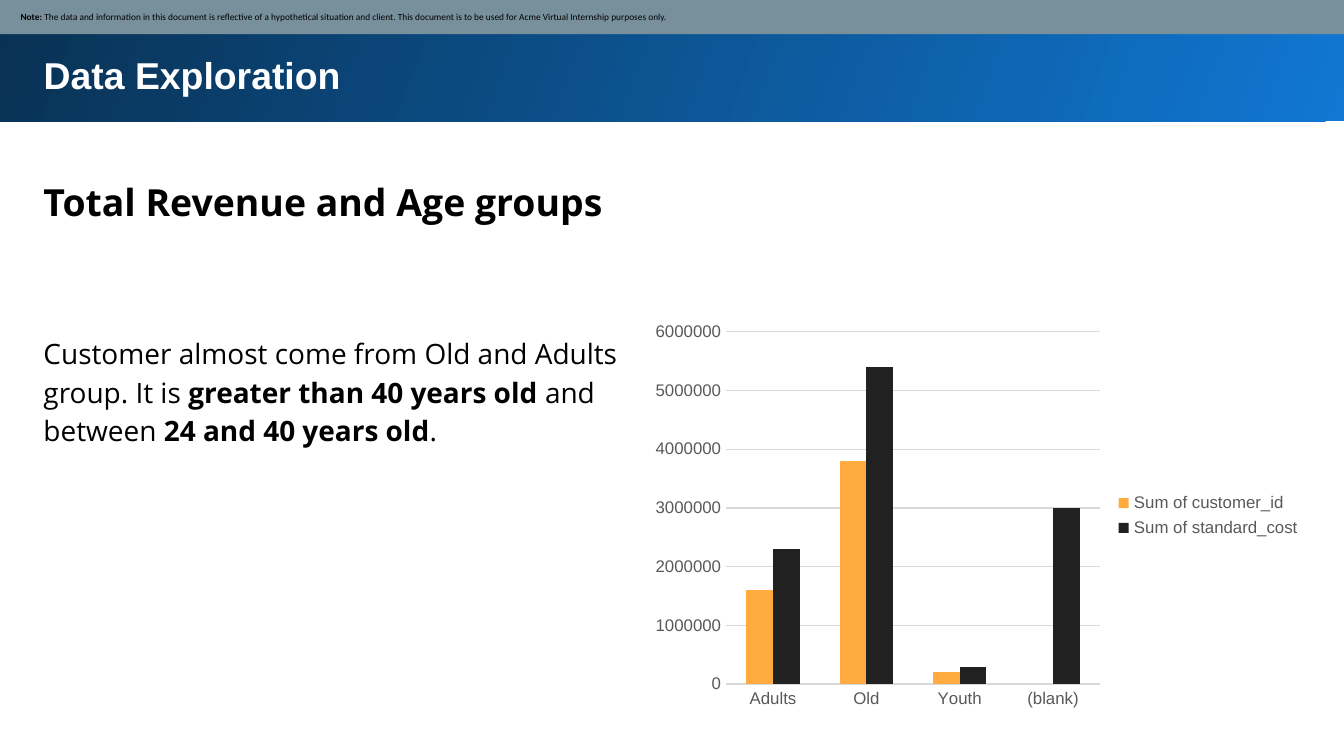
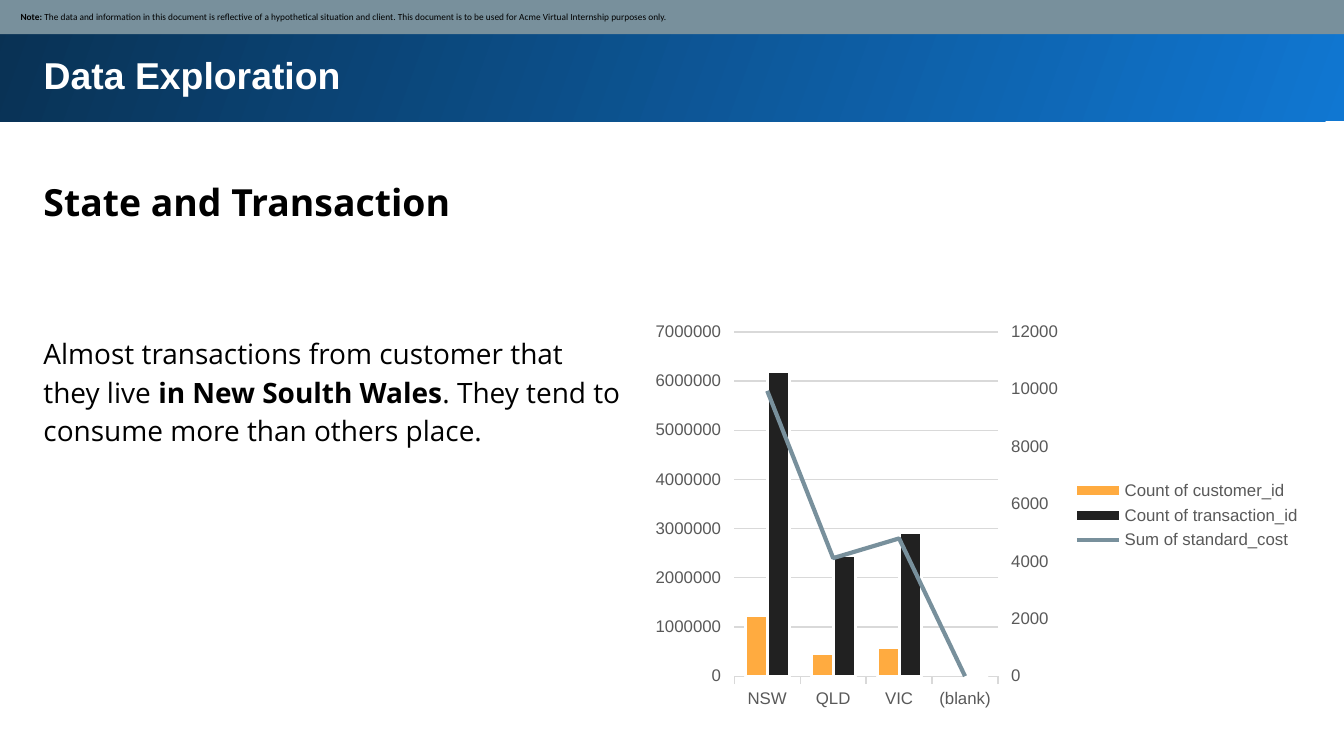
from copy import deepcopy

from pptx import Presentation
from pptx.chart.axis import CategoryAxis, ValueAxis
from pptx.chart.data import CategoryChartData
from pptx.dml.color import RGBColor
from pptx.enum.chart import (XL_CHART_TYPE, XL_LEGEND_POSITION, XL_MARKER_STYLE,
                             XL_TICK_LABEL_POSITION, XL_TICK_MARK)
from pptx.enum.shapes import MSO_SHAPE
from pptx.enum.text import MSO_ANCHOR, MSO_AUTO_SIZE, PP_ALIGN
from pptx.oxml import parse_xml
from pptx.oxml.ns import nsdecls, qn
from pptx.util import Pt

HEX = {"black": "000000", "white": "FFFFFF", "slate": "78909C", "blue": "1077D2",
       "navy": "093153", "orange": "FFAB40", "charcoal": "212121",
       "label": "595959", "grid": "D9D9D9"}
RGB = {name: RGBColor.from_string(value) for name, value in HEX.items()}

NOTE = [("Note: ", True),
        ("The data and information in this document is reflective of a hypothetical "
         "situation and client. This document is to be used for Acme Virtual "
         "Internship purposes only.", False)]

SLIDES = [
    {"heading": "Total Revenue and Age groups",
     "body": [("Customer almost come from Old and Adults group. It is ", False),
              ("greater than 40 years old ", True),
              ("and between ", False),
              ("24 and 40 years old", True),
              (".", False)],
     "categories": ["Adults", "Old", "Youth", "(blank)"],
     "series": [("Sum of customer_id", [1600000, 3800000, 200000, None]),
                ("Sum of standard_cost", [2300000, 5400000, 300000, 3000000])],
     "gap": 150, "maximum": 6000000, "tick": XL_TICK_MARK.NONE},
    {"heading": "State and Transaction",
     "body": [("Almost transactions from customer that they live ", False),
              ("in New Soulth Wales", True),
              (". They tend to consume more than others place.", False)],
     "categories": ["NSW", "QLD", "VIC", "(blank)"],
     "series": [("Count of customer_id", [2100, 800, 1000, None]),
                ("Count of transaction_id", [10600, 4200, 5000, 0]),
                ("Sum of standard_cost", [5800000, 2400000, 2800000, 0])],
     "gap": 100, "maximum": 7000000, "tick": XL_TICK_MARK.OUTSIDE},
]


def write(sp, runs, size, font="Open Sans", color="black", spacing=None,
          inset=7.2, left_inset=None, anchor=MSO_ANCHOR.TOP,
          fit=MSO_AUTO_SIZE.SHAPE_TO_FIT_TEXT):
    """Fill a shape with one left-aligned paragraph of (text, bold) runs."""
    tf = sp.text_frame
    tf.word_wrap = True
    tf.auto_size = fit
    tf.vertical_anchor = anchor
    tf.margin_top = tf.margin_right = tf.margin_bottom = Pt(inset)
    tf.margin_left = Pt(inset if left_inset is None else left_inset)
    p = tf.paragraphs[0]
    p.alignment = PP_ALIGN.LEFT
    p.line_spacing = spacing or 1.0
    p.space_before = Pt(0)
    for text, bold in runs:
        r = p.add_run()
        r.text = text
        r.font.name, r.font.size, r.font.bold = font, Pt(size), bold
        r.font.color.rgb = RGB[color]


def style_labels(font):
    font.name, font.size, font.bold = "Arial", Pt(9), False
    font.color.rgb = RGB["label"]


prs = Presentation()
prs.slide_width, prs.slide_height = Pt(720), Pt(405)
charts = []

for content in SLIDES:
    s = prs.slides.add_slide(prs.slide_layouts[5])
    s.background.fill.solid()
    s.background.fill.fore_color.rgb = RGB["white"]

    # Title on its gradient band
    band = s.shapes.add_shape(MSO_SHAPE.RECTANGLE, Pt(-1.5), Pt(-1.5), Pt(723.6), Pt(66.4))
    band.shadow.inherit = False
    band.line.fill.background()
    band.fill.gradient()
    band.fill.gradient_angle = 160
    for stop, name in zip(band.fill.gradient_stops, ("blue", "navy")):
        stop.color.rgb = RGB[name]
    title = s.shapes.title
    title._element.addprevious(band._element)
    title.left, title.top, title.width, title.height = Pt(16.2), Pt(20.7), Pt(675), Pt(39)
    write(title, [("Data Exploration", True)], 20, font="Arial", color="white")

    # Heading and comment
    heading = s.shapes.add_textbox(Pt(16.2), Pt(85), Pt(675), Pt(40))
    write(heading, [(content["heading"], True)], 20, spacing=1.15)
    body = s.shapes.add_textbox(Pt(16.2), Pt(170.5), Pt(325.5), Pt(75.5))
    write(body, content["body"], 15, spacing=1.15)

    # Disclaimer strip
    strip = s.shapes.add_shape(MSO_SHAPE.RECTANGLE, Pt(-0.7), Pt(-0.7), Pt(722), Pt(19))
    strip.shadow.inherit = False
    strip.line.fill.background()
    strip.fill.solid()
    strip.fill.fore_color.rgb = RGB["slate"]
    write(strip, NOTE, 5, font="Calibri", inset=3.6, left_inset=11.7,
          anchor=MSO_ANCHOR.MIDDLE, fit=MSO_AUTO_SIZE.NONE)

    # Chart
    data = CategoryChartData()
    data.categories = content["categories"]
    for name, values in content["series"]:
        data.add_series(name, values)
    chart = s.shapes.add_chart(XL_CHART_TYPE.COLUMN_CLUSTERED, Pt(344), Pt(168.2),
                               Pt(360), Pt(216), data).chart
    charts.append(chart)
    chart.has_title = False
    chart.font.name, chart.font.size = "Arial", Pt(10)
    chart.font.color.rgb = RGB["black"]
    chart.has_legend = True
    chart.legend.position = XL_LEGEND_POSITION.RIGHT
    chart.legend.include_in_layout = False
    style_labels(chart.legend.font)
    for axis in (chart.category_axis, chart.value_axis):
        axis.major_tick_mark = content["tick"]
        axis.minor_tick_mark = XL_TICK_MARK.NONE
        style_labels(axis.tick_labels.font)
    chart.category_axis.format.line.color.rgb = RGB["grid"]
    values_axis = chart.value_axis
    values_axis.format.line.fill.background()
    values_axis.minimum_scale, values_axis.maximum_scale = 0, content["maximum"]
    grid = values_axis.major_gridlines.format.line
    grid.color.rgb, grid.width = RGB["grid"], Pt(0.75)
    plot = chart.plots[0]
    plot.vary_by_categories = False
    plot.gap_width, plot.overlap = content["gap"], 0
    for series, name in zip(plot.series, ("orange", "charcoal")):
        series.format.fill.solid()
        series.format.fill.fore_color.rgb = RGB[name]

# State chart: the cost series becomes a line that keeps the left axis
state_chart = charts[-1]
bars = state_chart.plots[0]
bar_xml = bars._element
cost_xml = bars.series[2]._element
for flag in cost_xml.findall(qn("c:invertIfNegative")):
    cost_xml.remove(flag)
line_xml = parse_xml(f'<c:lineChart {nsdecls("c")}><c:grouping val="standard"/>'
                     '<c:varyColors val="0"/><c:marker val="1"/></c:lineChart>')
line_xml.insert(2, cost_xml)
for ax_id in bar_xml.findall(qn("c:axId")):
    line_xml.append(deepcopy(ax_id))
bar_xml.addnext(line_xml)

cost = state_chart.plots[1].series[0]
cost.smooth = False
cost.marker.style = XL_MARKER_STYLE.NONE
cost.format.line.color.rgb = RGB["slate"]
cost.format.line.width = Pt(2.25)

# The count columns get a right-hand value axis and a hidden category axis
count_val = deepcopy(state_chart.value_axis._element)
count_cat = deepcopy(state_chart.category_axis._element)
state_chart.value_axis._element.addnext(count_val)
count_val.addnext(count_cat)
for ax_id, number in zip(bar_xml.findall(qn("c:axId")), ("5001", "5002")):
    ax_id.set("val", number)
for axis_xml, own, other in ((count_cat, "5001", "5002"), (count_val, "5002", "5001")):
    axis_xml.find(qn("c:axId")).set("val", own)
    axis_xml.find(qn("c:crossAx")).set("val", other)
count_val.find(qn("c:axPos")).set("val", "r")
for crosses in count_val.findall(qn("c:crosses")):
    count_val.remove(crosses)
count_val.find(qn("c:crossAx")).addnext(
    parse_xml(f'<c:crosses {nsdecls("c")} val="max"/>'))
count_axis = ValueAxis(count_val)
count_axis.has_major_gridlines = False
count_axis.maximum_scale = 12000
count_axis.tick_label_position = XL_TICK_LABEL_POSITION.HIGH
CategoryAxis(count_cat).visible = False
for series in bars.series:
    series.format.line.color.rgb = RGB["white"]
    series.format.line.width = Pt(1.5)

prs.save("out.pptx")
